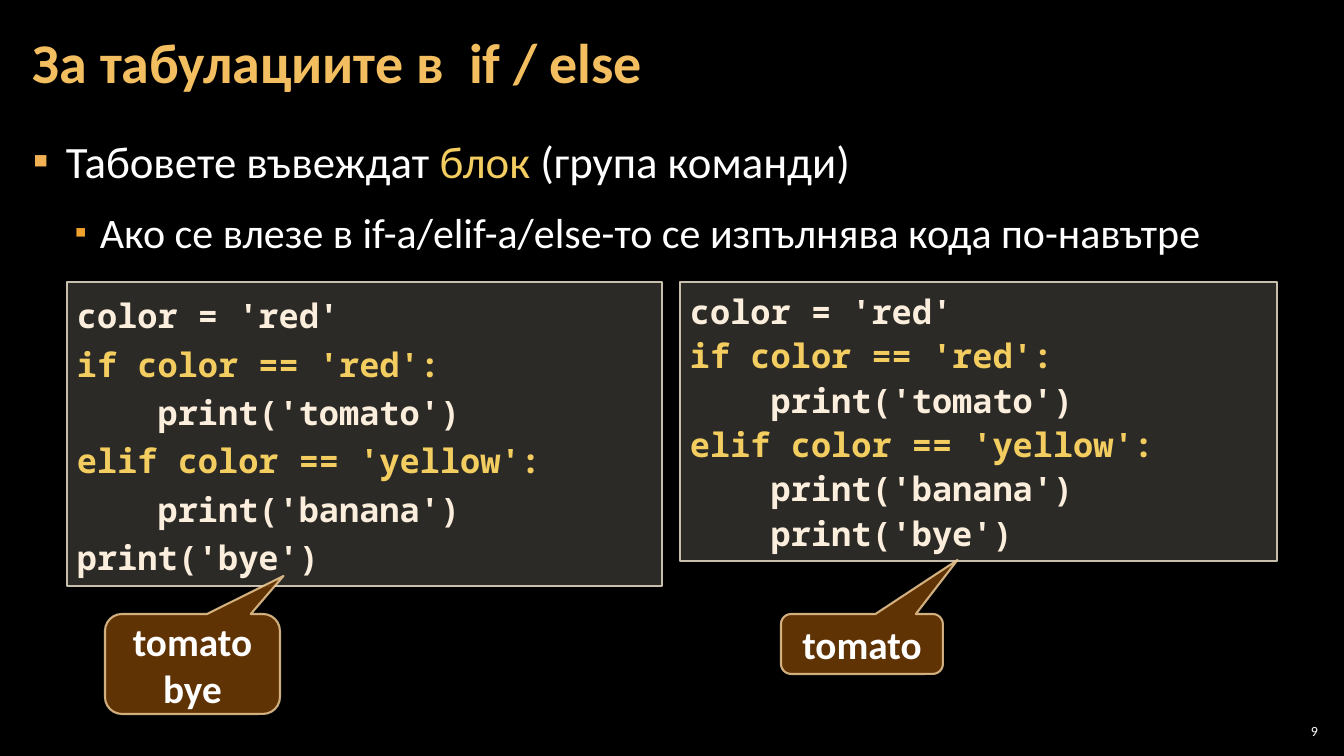
from lxml import etree
from pptx import Presentation
from pptx.dml.color import RGBColor
from pptx.enum.shapes import MSO_SHAPE
from pptx.enum.text import MSO_ANCHOR, MSO_AUTO_SIZE, PP_ALIGN
from pptx.oxml.ns import qn
from pptx.util import Pt

RECT, CALLOUT = MSO_SHAPE.RECTANGLE, MSO_SHAPE.ROUNDED_RECTANGULAR_CALLOUT
TOP, MIDDLE = MSO_ANCHOR.TOP, MSO_ANCHOR.MIDDLE
FIXED, GROW = MSO_AUTO_SIZE.NONE, MSO_AUTO_SIZE.SHAPE_TO_FIT_TEXT
LEFT, CENTER, RIGHT = PP_ALIGN.LEFT, PP_ALIGN.CENTER, PP_ALIGN.RIGHT

WHITE, GOLD, CREAM = "FFFFFF", "F3CD60", "FBEEDC"
SANS, MONO = "Calibri", "Noto Sans Mono"


def px(length):
    return round(length * 914400 / 100.8)


def rgb(hex_code):
    return RGBColor.from_string(hex_code)


def apply(target, values):
    for name, value in values.items():
        setattr(target, name, value)


class LessonSlide:
    """Holds the deck style and the slide being filled."""

    def __init__(self, deck, background):
        self.slide = deck.slides.add_slide(deck.slide_layouts[5])
        self.slide.background.fill.solid()
        self.slide.background.fill.fore_color.rgb = rgb(background)

    def place(self, shape, box):
        apply(shape, dict(zip(("left", "top", "width", "height"), map(px, box))))

    def paint(self, fill, hex_code, opacity):
        """Makes a solid fill with the given opacity in percent."""
        fill.solid()
        fill.fore_color.rgb = rgb(hex_code)
        if opacity < 100:
            node = fill.fore_color._xFill.find(qn("a:srgbClr"))
            etree.SubElement(node, qn("a:alpha"), val=str(opacity * 1000))

    def set_text(self, shape, lines, size, font=SANS, bold=False, align=LEFT,
                 spacing=1.0, anchor=TOP, fit=FIXED, insets=(10, 5)):
        """Fills a shape; each line is a list of (text, colour) runs."""
        frame = shape.text_frame
        across, down = map(px, insets)
        apply(frame, {"word_wrap": True, "auto_size": fit, "vertical_anchor": anchor,
                      "margin_left": across, "margin_right": across,
                      "margin_top": down, "margin_bottom": down})
        for index, line in enumerate(lines):
            paragraph = frame.add_paragraph() if index else frame.paragraphs[0]
            apply(paragraph, {"alignment": align, "line_spacing": spacing})
            for text, color in line:
                run = paragraph.add_run()
                run.text = text
                apply(run.font, {"name": font, "size": Pt(size), "bold": bold})
                run.font.color.rgb = rgb(color)
        return frame.paragraphs

    def title(self, box, text, color):
        heading = self.slide.shapes.title
        self.place(heading, box)
        self.set_text(heading, [[(text, color)]], 40, bold=True, spacing=0.9,
                      anchor=MIDDLE, insets=(12, 4))

    def text(self, box, lines, size, **style):
        label = self.slide.shapes.add_textbox(*map(px, box))
        return self.set_text(label, lines, size, **style)

    def bullet(self, paragraph, level, indent, hanging, color, percent):
        apply(paragraph, {"level": level, "space_before": Pt(6), "space_after": Pt(6)})
        properties = paragraph._p.get_or_add_pPr()
        properties.set("marL", str(px(indent)))
        properties.set("indent", str(-px(hanging)))
        tint = etree.SubElement(properties, qn("a:buClr"))
        etree.SubElement(tint, qn("a:srgbClr"), val=color)
        etree.SubElement(properties, qn("a:buSzPct"), val=str(percent * 1000))
        etree.SubElement(properties, qn("a:buFont"), typeface=SANS)
        etree.SubElement(properties, qn("a:buChar"), char="▪")

    def panel(self, kind, box, fill, line, width):
        shape = self.slide.shapes.add_shape(kind, *map(px, box))
        shape.shadow.inherit = False
        self.paint(shape.fill, *fill)
        self.paint(shape.line.fill, *line)
        shape.line.width = Pt(width)
        return shape

    def code(self, box, source, spacing):
        """Draws a listing with its conditions highlighted."""
        listing = self.panel(RECT, box, ("D9D5C7", 20), ("C7BFAC", 100), 1)
        lines = [[(row, GOLD if row.endswith(":") else CREAM)] for row in source]
        self.set_text(listing, lines, 24, font=MONO, bold=True, spacing=spacing,
                      fit=GROW)

    def callout(self, box, pointer, output):
        bubble = self.panel(CALLOUT, box, ("663606", 95), ("F8D49E", 80), 1.5)
        for index, value in enumerate((*pointer, 0.17)):
            bubble.adjustments[index] = value
        self.set_text(bubble, [[(row, WHITE)] for row in output], 28, bold=True,
                      align=CENTER, anchor=MIDDLE)


def main():
    deck = Presentation()
    apply(deck, {"slide_width": px(1344), "slide_height": px(756)})
    lesson = LessonSlide(deck, "000000")

    # Title and explanation
    lesson.title((21, 4, 1055, 122), "За табулациите в  if / else", "F3BE60")
    block_point, detail_point = lesson.text((21, 127, 1301, 614), [
        [("Табовете въвеждат ", WHITE), ("блок ", GOLD), ("(група команди)", WHITE)],
        [("Ако се влезе в if-а/elif-а/else-то се изпълнява кода по-навътре", WHITE)],
    ], 32, spacing=1.05, insets=(12, 4))
    for run in detail_point.runs:
        run.font.size = Pt(30)
    lesson.bullet(block_point, 0, 33, 33, "F2B254", 100)
    lesson.bullet(detail_point, 1, 67, 25, "F0A22E", 80)

    # Two listings that differ only in the last indent
    branches = ["color = 'red'", "if color == 'red':", "    print('tomato')",
                "elif color == 'yellow':", "    print('banana')"]
    farewell = "print('bye')"
    lesson.code((67, 282, 595, 304), branches + [farewell], 1.2)
    lesson.code((680, 282, 597, 279), branches + ["    " + farewell], 1.1)

    # Printed results
    lesson.callout((105, 614, 175, 100), (0.52, -0.88), ["tomato", "bye"])
    lesson.callout((781, 614, 162, 60), (0.59, -1.4), ["tomato"])

    # Slide number
    lesson.text((1275, 720, 47, 21), [[("9", WHITE)]], 10, align=RIGHT,
                anchor=MIDDLE, insets=(4, 4))

    deck.save("out.pptx")


if __name__ == "__main__":
    main()
